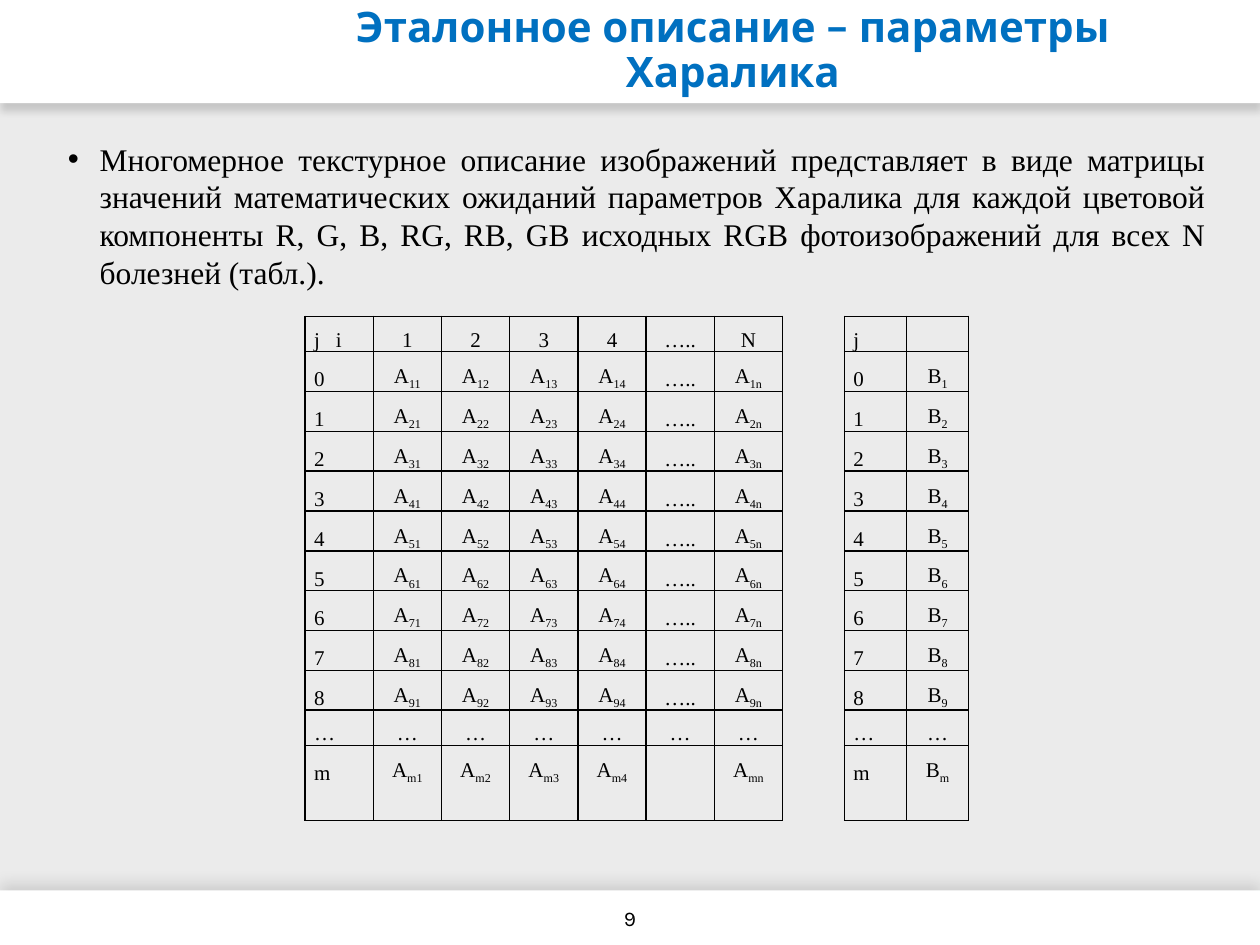
"""Build a slide with the matrix of Haralick texture parameters."""
from dataclasses import dataclass

from lxml.etree import SubElement
from pptx import Presentation
from pptx.dml.color import RGBColor
from pptx.enum.shapes import MSO_SHAPE as Shape
from pptx.enum.text import MSO_ANCHOR as Anchor, MSO_AUTO_SIZE as AutoSize, PP_ALIGN as Align
from pptx.oxml.ns import qn
from pptx.util import Cm, Pt


@dataclass(frozen=True)
class Theme:
    background: str = "EBEBEB"
    bar: str = "FFFFFF"
    accent: str = "0070C0"
    ink: str = "000000"
    heading_font: str = "Karla"
    body_font: str = "Times New Roman"
    title_size: int = 24
    body_size: int = 18
    small_size: int = 12
    cell_spacing: float = 1.39
    border_width: int = 1


THEME = Theme()
TITLE = "Эталонное описание – параметры Харалика"
DESCRIPTION = (
    "Многомерное текстурное описание изображений представляет в виде матрицы "
    "значений математических ожиданий параметров Харалика для каждой цветовой "
    "компоненты R, G, B, RG, RB, GB исходных RGB фотоизображений для всех N "
    "болезней (табл.)."
)
PAGE_NUMBER = "9"

BARS = [
    {"box": (0, 0, 25.4, 2.08), "opacity": 14, "blur": 4, "direction": 90},
    {"box": (0, 17.95, 25.4, 1.1), "opacity": 13, "blur": 9, "direction": 270},
]
TITLE_BOX = (5.4, 0.23, 18.75, 1.6)
DESCRIPTION_BOX = (1.12, 2.69, 23.44, 3.4)
PAGE_BOX = (9.84, 17.99, 5.72, 1.02)

HEADER = ["j\ti", "1", "2", "3", "4", "…..", "N", "", "j", ""]
ROW_NAMES = [str(number) for number in range(9)]
COLUMN_KEYS = ["1", "2", "3", "4", "", "n"]
GAP_COLUMN = 7
LABEL_COLUMNS = (0, 8)
TABLE_ORIGIN = (6.15, 6.38)
COLUMN_WIDTHS = [9.63 / 7] * 7 + [1.25] * 3
ROW_HEIGHT = 0.71
CELL_INSET = 0.18
HEADER_TAB = 0.44


def matrix_row(name, index, filler):
    """Return one table row; a pair holds a letter and its subscript."""
    entries = [("A", index + key) if key else filler for key in COLUMN_KEYS]
    return [name, *entries, "", name, ("B", index)]


ROWS = [
    HEADER,
    *(matrix_row(name, str(number), "…..") for number, name in enumerate(ROW_NAMES, 1)),
    ["" if column == GAP_COLUMN else "…" for column in range(len(HEADER))],
    matrix_row("m", "m", ""),
    [""] * len(HEADER),
]


def lengths(values):
    """Convert centimetre values to lengths."""
    return [Cm(value) for value in values]


def style(paragraph, font_name, size, color, alignment, spacing=None, bold=False):
    """Format a whole paragraph."""
    paragraph.alignment = alignment
    paragraph.line_spacing = spacing
    font = paragraph.font
    font.name, font.size, font.bold = font_name, Pt(size), bold
    font.color.rgb = RGBColor.from_string(color)


def add_bar(slide, box, opacity, blur, direction):
    """Add a white band with a soft shadow."""
    bar = slide.shapes.add_shape(Shape.RECTANGLE, *lengths(box))
    bar.fill.solid()
    bar.fill.fore_color.rgb = RGBColor.from_string(THEME.bar)
    bar.line.fill.background()
    bar.shadow.inherit = False
    effects = bar.element.spPr.find(qn("a:effectLst"))
    shadow = SubElement(effects, qn("a:outerShdw"), blurRad=str(Pt(blur)), dist=str(Pt(4)),
                        dir=str(direction * 60000), algn="ctr", rotWithShape="0")
    color = SubElement(shadow, qn("a:srgbClr"), val=THEME.ink)
    SubElement(color, qn("a:alpha"), val=str(opacity * 1000))


def add_title(slide):
    """Place the title placeholder in front of the bars."""
    title = slide.shapes.title
    title.element.getparent().append(title.element)
    title.left, title.top, title.width, title.height = lengths(TITLE_BOX)
    frame = title.text_frame
    frame.text = TITLE
    frame.word_wrap, frame.auto_size = True, AutoSize.NONE
    frame.vertical_anchor = Anchor.MIDDLE
    style(frame.paragraphs[0], THEME.heading_font, THEME.title_size, THEME.accent,
          Align.CENTER, 0.9, True)


def add_text(slide, box, text, anchor):
    """Add a wrapping text box and return its paragraph."""
    frame = slide.shapes.add_textbox(*lengths(box)).text_frame
    frame.word_wrap, frame.vertical_anchor = True, anchor
    frame.text = text
    return frame.paragraphs[0]


def add_description(slide):
    """Add the bulleted description."""
    paragraph = add_text(slide, DESCRIPTION_BOX, DESCRIPTION, Anchor.TOP)
    properties = paragraph._p.get_or_add_pPr()
    indent = Cm(0.64)
    properties.set("marL", str(indent))
    properties.set("indent", str(-indent))
    SubElement(properties, qn("a:buFont"), typeface="Arial")
    SubElement(properties, qn("a:buChar"), char="•")
    style(paragraph, THEME.body_font, THEME.body_size, THEME.ink, Align.JUSTIFY)


def set_borders(cell, visible):
    """Draw the named sides of a cell and hide the others."""
    properties = cell._tc.get_or_add_tcPr()
    for side in "LRTB":
        line = SubElement(properties, qn(f"a:ln{side}"), w=str(Pt(THEME.border_width)))
        if side in visible:
            fill = SubElement(line, qn("a:solidFill"))
            SubElement(fill, qn("a:srgbClr"), val=THEME.ink)
        else:
            SubElement(line, qn("a:noFill"))


def fill_cell(cell, content, alignment):
    """Write a label, or a letter with its subscript, into a cell."""
    cell.margin_left = cell.margin_right = Cm(CELL_INSET)
    cell.margin_top = cell.margin_bottom = 0
    cell.vertical_anchor = Anchor.BOTTOM
    paragraph = cell.text_frame.paragraphs[0]
    if isinstance(content, tuple):
        letter, index = content
        paragraph.add_run().text = letter
        subscript = paragraph.add_run()
        subscript.text = index
        subscript._r.get_or_add_rPr().set("baseline", "-25000")
    elif content:
        paragraph.add_run().text = content
        if "\t" in content:
            tabs = SubElement(paragraph._p.get_or_add_pPr(), qn("a:tabLst"))
            SubElement(tabs, qn("a:tab"), pos=str(Cm(HEADER_TAB)), algn="l")
    else:
        SubElement(paragraph._p, qn("a:endParaRPr"), sz=str(THEME.small_size * 100))
    style(paragraph, THEME.body_font, THEME.small_size, THEME.ink, alignment,
          THEME.cell_spacing if content else 1)


def add_matrix(slide):
    """Add the table holding both matrices."""
    size = (sum(COLUMN_WIDTHS), ROW_HEIGHT * len(ROWS))
    frame = slide.shapes.add_table(len(ROWS), len(HEADER), *lengths(TABLE_ORIGIN + size))
    table = frame.table
    table.first_row = table.horz_banding = False
    for column, width in zip(table.columns, COLUMN_WIDTHS):
        column.width = Cm(width)
    last = len(ROWS) - 1
    for row_index, row in enumerate(ROWS):
        table.rows[row_index].height = Cm(ROW_HEIGHT)
        for column_index, content in enumerate(row):
            cell = table.cell(row_index, column_index)
            sides = "LR"
            if column_index != GAP_COLUMN:
                sides += "T" * (row_index != last) + "B" * (row_index != last - 1)
            set_borders(cell, sides)
            cell.fill.background()
            fill_cell(cell, content, Align.LEFT if column_index in LABEL_COLUMNS else Align.CENTER)


def main():
    """Assemble and save the presentation."""
    presentation = Presentation()
    presentation.slide_width, presentation.slide_height = Cm(25.4), Cm(19.05)
    slide = presentation.slides.add_slide(presentation.slide_layouts[5])
    slide.background.fill.solid()
    slide.background.fill.fore_color.rgb = RGBColor.from_string(THEME.background)
    for bar in BARS:
        add_bar(slide, **bar)
    add_title(slide)
    add_description(slide)
    add_matrix(slide)
    page = add_text(slide, PAGE_BOX, PAGE_NUMBER, Anchor.MIDDLE)
    style(page, THEME.heading_font, THEME.small_size, THEME.ink, Align.CENTER)
    presentation.save("out.pptx")


if __name__ == "__main__":
    main()
